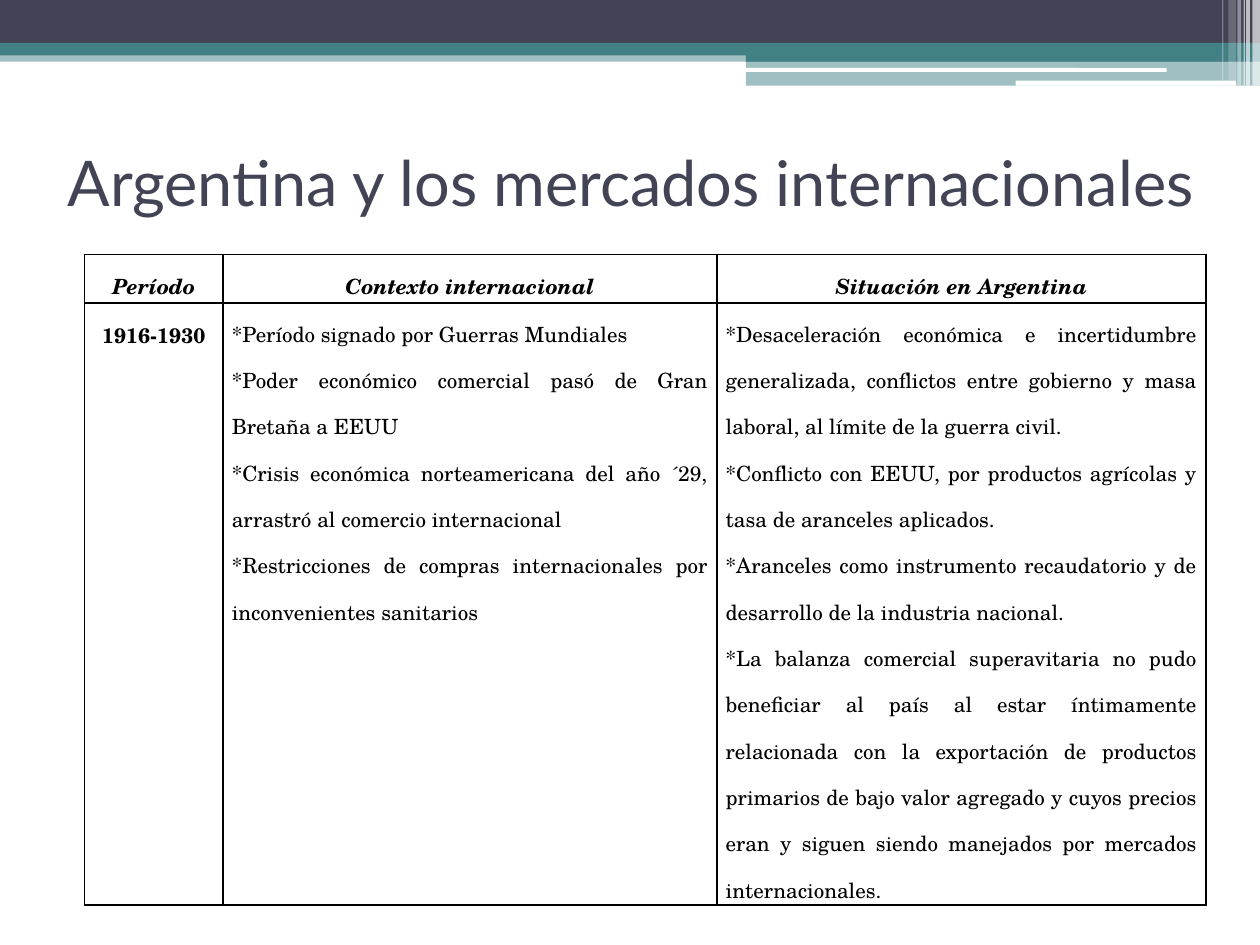
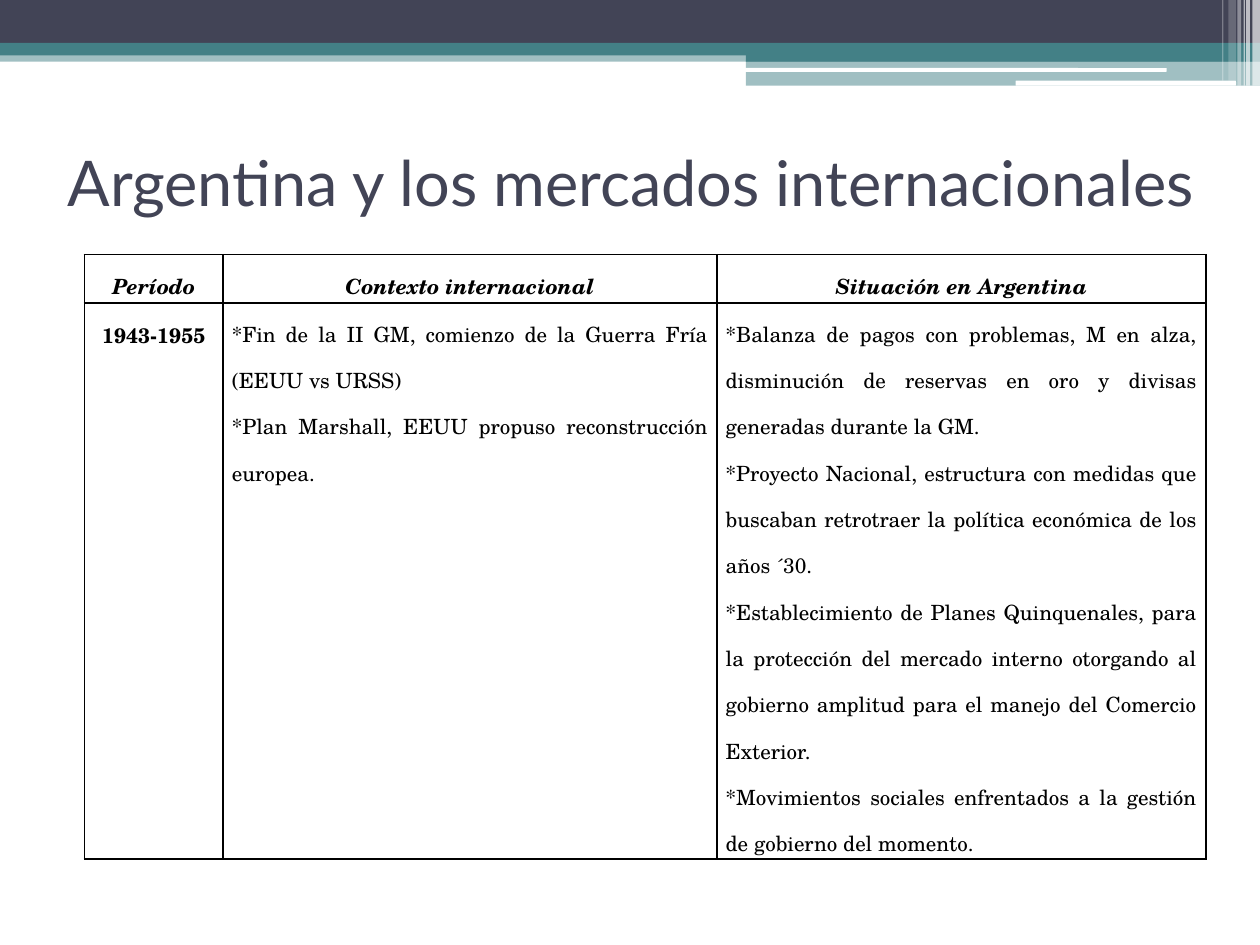
from lxml import etree
from pptx import Presentation
from pptx.dml.color import RGBColor
from pptx.enum import shapes, text
from pptx.oxml import ns
from pptx.util import Inches, Pt

SLATE = RGBColor(0x42, 0x44, 0x56)
TEAL = RGBColor(0x43, 0x80, 0x86)
WHITE = RGBColor(0xFF, 0xFF, 0xFF)
BLACK = RGBColor(0, 0, 0)
TITLE_FONT, TABLE_FONT = "Lato", "TeX Gyre Schola"
CENTER, JUSTIFY = text.PP_ALIGN.CENTER, text.PP_ALIGN.JUSTIFY

TITLE = "Argentina y los mercados internacionales"
TITLE_BOX = (0.2, 0.85, 9.61, 1.17)
HEADERS = ["Período", "Contexto internacional", "Situación en Argentina"]
COLUMN_WIDTHS = [1.1, 3.92, 3.88]
HEADER_HEIGHT = 0.33
TABLE_LEFT, TABLE_TOP = 0.67, 2.02

# Header bands: left, top, width, height, colour, opacity in percent
BANDS = [
    (0, 0.4, 10, 0.09, TEAL, 50),
    (0, 0, 10, 0.34, SLATE, 100),
    (0, 0.34, 10, 0.1, TEAL, 100),
    (5.92, 0.39, 4.08, 0.1, TEAL, 100),
    (5.92, 0.48, 4.08, 0.2, TEAL, 50),
]
# White rounded rules: left, top, width, height
RULES = [(5.91, 0.54, 3.35, 0.03), (8.06, 0.64, 1.75, 0.04)]
# White vertical stripes at the right edge: left, width, height, opacity
STRIPES = [
    (9.94, 0.06, 0.68, 65), (9.89, 0.03, 0.68, 65), (9.87, 0.01, 0.68, 60),
    (9.82, 0.03, 0.68, 40), (9.75, 0.06, 0.64, 20), (9.7, 0.01, 0.64, 30),
]

# Period, international context, situation in Argentina, body row height
PERIODS = [
    ("1916-1930", [
        "*Período signado por Guerras Mundiales",
        "*Poder económico comercial pasó de Gran Bretaña a EEUU",
        "*Crisis económica norteamericana del año ´29, arrastró al comercio "
        "internacional",
        "*Restricciones de compras internacionales por inconvenientes sanitarios",
    ], [
        "*Desaceleración económica e incertidumbre generalizada, conflictos "
        "entre gobierno y masa laboral, al límite de la guerra civil.",
        "*Conflicto con EEUU, por productos agrícolas y tasa de aranceles "
        "aplicados.",
        "*Aranceles como instrumento recaudatorio y de desarrollo de la "
        "industria nacional.",
        "*La balanza comercial superavitaria no pudo beneficiar al país al "
        "estar íntimamente relacionada con la exportación de productos "
        "primarios de bajo valor agregado y cuyos precios eran y siguen "
        "siendo manejados por mercados internacionales.",
    ], 2.43),
    ("1943-1955", [
        "*Fin de la II GM, comienzo de la Guerra Fría (EEUU vs URSS)",
        "*Plan Marshall, EEUU propuso reconstrucción europea.",
    ], [
        "*Balanza de pagos con problemas, M en alza, disminución de reservas "
        "en oro y divisas generadas durante la GM.",
        "*Proyecto Nacional, estructura con medidas que buscaban retrotraer "
        "la política económica de los años ´30.",
        "*Establecimiento de Planes Quinquenales, para la protección del "
        "mercado interno otorgando al gobierno amplitud para el manejo del "
        "Comercio Exterior.",
        "*Movimientos sociales enfrentados a la gestión de gobierno del "
        "momento.",
    ], 1.95),
]


def write(tf, lines, font, size, color, align=CENTER, bold=False,
          italic=False, spacing=None):
    for i, line in enumerate(lines):
        p = tf.paragraphs[0] if i == 0 else tf.add_paragraph()
        p.alignment = align
        p.line_spacing = spacing
        r = p.add_run()
        r.text = line
        r.font.name, r.font.size = font, Pt(size)
        r.font.bold, r.font.italic = bold, italic
        r.font.color.rgb = color


def add_block(s, box, color, opacity=100, rounded=False):
    kind = shapes.MSO_SHAPE.ROUNDED_RECTANGLE if rounded else shapes.MSO_SHAPE.RECTANGLE
    sp = s.shapes.add_shape(kind, *map(Inches, box))
    sp.shadow.inherit = False
    sp.line.fill.background()
    sp.fill.solid()
    sp.fill.fore_color.rgb = color
    if opacity < 100:
        clr = sp.fill._xPr.find(".//" + ns.qn("a:srgbClr"))
        etree.SubElement(clr, ns.qn("a:alpha"), val=str(opacity * 1000))


def add_header(s):
    for *box, color, opacity in BANDS:
        add_block(s, box, color, opacity)
    for box in RULES:
        add_block(s, box, WHITE, rounded=True)
    for left, width, height, opacity in STRIPES:
        add_block(s, (left, 0, width, height), WHITE, opacity)


def add_title(s, box):
    sp = s.shapes.title
    sp.left, sp.top, sp.width, sp.height = map(Inches, box)
    tf = sp.text_frame
    tf.word_wrap = True
    tf.auto_size = text.MSO_AUTO_SIZE.NONE
    tf.vertical_anchor = text.MSO_ANCHOR.MIDDLE
    write(tf, [TITLE], TITLE_FONT, 36, SLATE)


def add_borders(cell):
    tc_pr = cell._tc.get_or_add_tcPr()
    for i, side in enumerate(("lnL", "lnR", "lnT", "lnB")):
        ln = etree.Element(ns.qn("a:" + side), w=str(Pt(1)))
        fill = etree.SubElement(ln, ns.qn("a:solidFill"))
        etree.SubElement(fill, ns.qn("a:srgbClr"), val=str(BLACK))
        tc_pr.insert(i, ln)


def fill_cell(cell, lines, **fmt):
    cell.margin_left = cell.margin_right = Inches(0.07)
    cell.margin_top = cell.margin_bottom = 0
    cell.fill.background()
    add_borders(cell)
    write(cell.text_frame, lines, TABLE_FONT, 12, BLACK, spacing=1.5, **fmt)


def add_period_table(s, left, top, period, context, situation, body_height):
    box = (left, top, sum(COLUMN_WIDTHS), HEADER_HEIGHT + body_height)
    table = s.shapes.add_table(2, len(HEADERS), *map(Inches, box)).table
    table.first_row = table.horz_banding = False
    for column, width in zip(table.columns, COLUMN_WIDTHS):
        column.width = Inches(width)
    for row, height in zip(table.rows, (HEADER_HEIGHT, body_height)):
        row.height = Inches(height)
    for i, header in enumerate(HEADERS):
        fill_cell(table.cell(0, i), [header], bold=True, italic=True)
    fill_cell(table.cell(1, 0), [period], bold=True)
    for i, lines in enumerate((context, situation), start=1):
        fill_cell(table.cell(1, i), lines, align=JUSTIFY)


def add_period_slide(prs, period):
    s = prs.slides.add_slide(prs.slide_layouts[5])  # title only
    add_header(s)
    add_title(s, TITLE_BOX)
    add_period_table(s, TABLE_LEFT, TABLE_TOP, *period)


def main():
    prs = Presentation()
    prs.slide_width, prs.slide_height = Inches(10), Inches(7.5)
    for period in PERIODS:
        add_period_slide(prs, period)
    prs.save("out.pptx")


if __name__ == "__main__":
    main()
